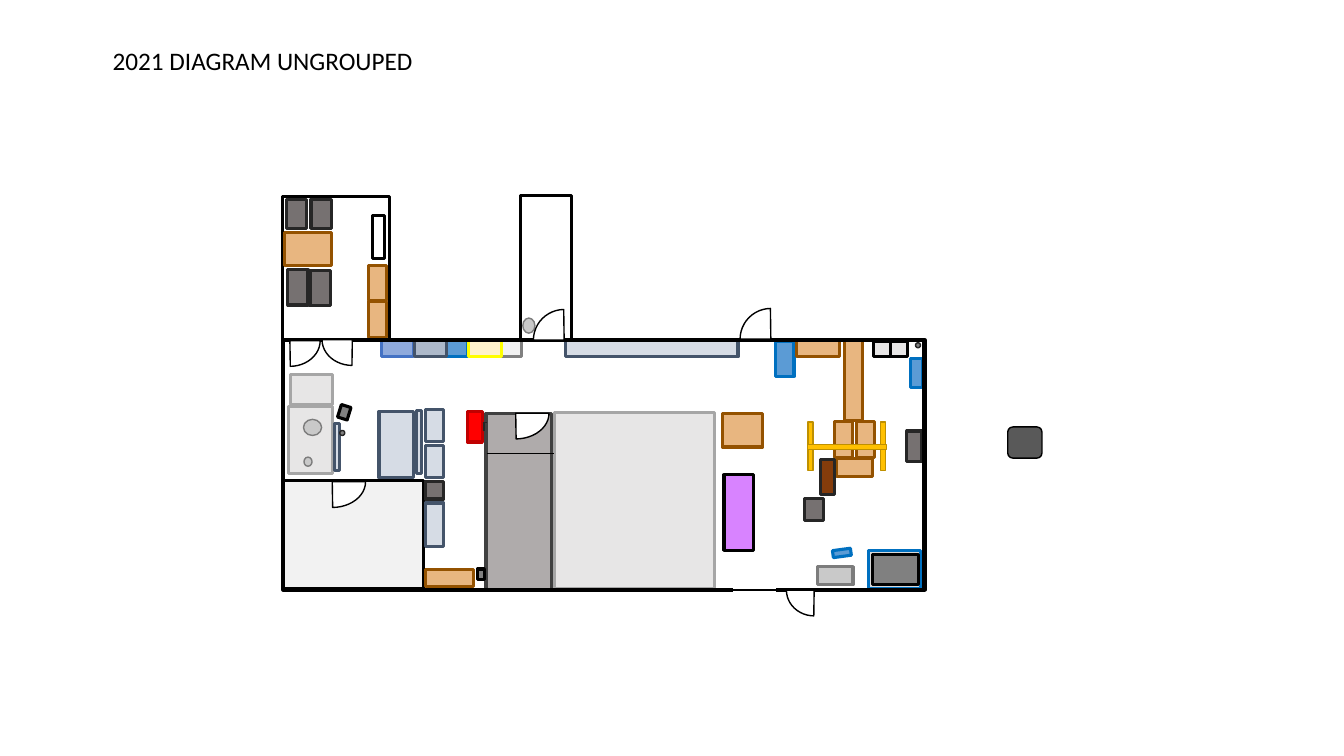
"""Build a one-slide workshop floor plan."""
from lxml import etree
from pptx import Presentation
from pptx.dml.color import RGBColor
from pptx.enum.shapes import MSO_CONNECTOR, MSO_SHAPE
from pptx.enum.text import MSO_AUTO_SIZE
from pptx.oxml.ns import qn
from pptx.util import Inches, Pt

RECT, ROUNDED = MSO_SHAPE.RECTANGLE, MSO_SHAPE.ROUNDED_RECTANGLE
PIE, OVAL = MSO_SHAPE.PIE, MSO_SHAPE.OVAL
STRAIGHT = MSO_CONNECTOR.STRAIGHT

TITLE = "2021 DIAGRAM UNGROUPED"
DOOR_SWING = (108.48, 162)
THICK, THIN = 2.25, 1

FINISHES = {
    "room": (RECT, "FFFFFF", "000000", THICK),
    "office": (RECT, "F2F2F2", "000000", THICK),
    "hall": (RECT, "AFABAB", "404040", THICK),
    "pale": (RECT, "E7E6E6", "A6A6A6", THICK),
    "wood": (RECT, "E8B680", "945200", THICK),
    "steel": (RECT, "D6DCE5", "44546A", THICK),
    "slate": (RECT, "ADB9CA", "44546A", THICK),
    "periwinkle": (RECT, "8FAADC", "4472C4", THICK),
    "white unit": (RECT, "F2F2F2", "808080", THICK),
    "blue": (RECT, "5B9BD5", "0070C0", THICK),
    "silver": (RECT, "C9C9C9", "7C7C7C", THICK),
    "purple": (RECT, "D883FF", "000000", THICK),
    "locker": (RECT, "E7E6E6", "000000", THICK),
    "chair": (RECT, "767171", "262626", THICK),
    "tray": (RECT, "D9D9D9", "0070C0", THICK),
    "machine": (RECT, "808080", "000000", THICK),
    "brown": (RECT, "843C0B", "262626", THICK),
    "red": (RECT, "FF0000", "C00000", THICK),
    "yellow": (RECT, "FFF2CC", "FFFF00", THICK),
    "gantry": (RECT, "FFC000", "BF9000", THIN),
    "outer wall": (RECT, None, "000000", 3),
    "frame": (RECT, None, "000000", THICK),
    "outdoor unit": (ROUNDED, "595959", "000000", THIN),
    "door": (PIE, "FFFFFF", "000000", THIN),
    "knob": (OVAL, "808080", "262626", THIN),
    "basin": (OVAL, "C9C9C9", "7C7C7C", THIN),
}

UPRIGHT = {
    (1.43, 0.5): [("room", 4.7, 2.4)],
    (1.43, 1.06): [("room", 2.62, 2.13)],
    (1.07, 1.39): [("office", 2.97, 4.61)],
    (1.75, 0.65): [("hall", 4.27, 4.65)],
    (1.75, 1.59): [("pale", 5.42, 4.17)],
    (0.66, 0.43): [("pale", 2.75, 4.15)],
    (0.3, 0.41): [("pale", 2.94, 3.66)],
    (0.81, 0.18): [("wood", 8.06, 3.68)],
    (0.35, 0.18): [("wood", 8.41, 4.27), ("wood", 8.19, 4.27),
                   ("wood", 3.57, 3.08), ("wood", 3.57, 2.72),
                   ("blue", 7.61, 3.47)],
    (0.33, 0.4): [("wood", 7.2, 4.07)],
    (0.33, 0.46): [("wood", 2.89, 2.24)],
    (0.15, 0.17): [("locker", 8.84, 3.38), ("locker", 8.67, 3.38)],
    (0.22, 0.19): [("chair", 7.96, 4.96)],
    (0.35, 0.2): [("chair", 2.78, 2.75), ("chair", 3, 2.76)],
    (0.29, 0.2): [("chair", 2.8, 2.02), ("chair", 3.04, 2.02)],
    (0.3, 0.15): [("chair", 8.92, 4.35), ("red", 4.56, 4.16)],
    (0.28, 0.12): [("blue", 8.95, 3.64)],
    (0.38, 0.52): [("tray", 8.68, 5.39)],
    (0.31, 0.34): [("outdoor unit", 10.01, 4.22)],
    (0.1, 0.07): [("machine", 4.72, 5.66)],
    (0.62, 0.05): [("steel", 3.85, 4.36)],
    (0.66, 0.34): [("steel", 3.6, 4.24)],
    (0.47, 0.05): [("steel", 3.11, 4.41)],
    (0.43, 0.12): [("frame", 3.54, 2.29)],
    (0.16, 0.18): [("basin", 3.02, 4.15)],
    (0.09, 0.08): [("basin", 3.01, 4.54)],
    (0.15, 0.12): [("basin", 5.17, 3.17)],
    (0.05, 0.05): [("knob", 9.08, 3.4), ("knob", 3.37, 4.27)],
}

FLAT = {
    (0.35, 0.18): [("wood", 8.3, 4.55), ("silver", 8.11, 5.62)],
    (0.48, 0.17): [("wood", 4.22, 5.65)],
    (0.29, 0.75): [("purple", 7.18, 4.71)],
    (0.46, 0.3): [("machine", 8.65, 5.5)],
}
BROWN_SEAT = {(0.35, 0.14): [("brown", 8.03, 4.66)]}
TILTED_SEAT = {(0.13, 0.1): [("machine", 3.35, 4.04)]}
TILTED_BOX = {(0.18, 0.07): [("blue", 8.26, 5.45)]}

ROW_TOP, ROW_DEPTH = 3.37, 0.17
WALL_ROW = [("steel", 5.61, 1.71), ("periwinkle", 3.78, 0.32),
            ("white unit", 4.89, 0.28), ("blue", 4.39, 0.25),
            ("slate", 4.11, 0.32), ("wood", 7.9, 0.43),
            ("yellow", 4.65, 0.32)]

STACK_CENTER, STACK_TOP, STACK_DEPTH, STACK_GAP = 4.31, 4.06, 0.18, 0.04
STACK = [("steel", 0.32), ("steel", 0.32), ("chair", 0.17), ("steel", 0.43)]

OUTER_WALL = {(2.48, 6.36): [("outer wall", 4.75, 1.43)]}
DOORS = [
    ("flipH", {(0.61, 0.61): [("door", 5.29, 3.07), ("door", 7.34, 3.06)]}),
    ("flipV", {(0.51, 0.66): [("door", 3.04, 4.45), ("door", 4.86, 3.77)],
               (0.51, 0.6): [("door", 2.62, 3.08)]}),
    (None, {(0.51, 0.6): [("door", 3.24, 3.07)],
            (0.51, 0.55): [("door", 7.82, 5.58)]}),
]
GANTRY_POSTS = {(0.48, 0.05): [("gantry", 7.8, 4.4), ("gantry", 8.52, 4.4)]}
GANTRY_BEAM = {(0.78, 0.05): [("gantry", 8.01, 4.41)]}

LINES = [
    ("FFFFFF", 4.5, (7.27, 5.84, 7.7, 5.84)),
    ("000000", 1.5, (7.17, 5.85, 7.76, 5.85)),
    ("262626", THIN, (4.83, 4.19, 4.8, 4.19)),
    ("262626", THIN, (4.8, 4.28, 4.8, 4.19)),
    ("000000", THIN, (4.83, 4.5, 5.49, 4.5)),
]


def color(hex_string):
    return RGBColor.from_string(hex_string)


def stroke(line, hex_string, width):
    line.color.rgb = color(hex_string)
    line.width = Pt(width)


def place(shapes, finish, box, turn, flip=None):
    preset, fill, outline, weight = FINISHES[finish]
    part = shapes.add_shape(preset, *map(Inches, box))
    part.shadow.inherit = False
    part.rotation = turn
    if flip:
        part.element.spPr.find(qn("a:xfrm")).set(flip, "1")
    if preset == PIE:
        part.adjustments[0], part.adjustments[1] = DOOR_SWING
    if fill:
        part.fill.solid()
        part.fill.fore_color.rgb = color(fill)
    else:
        part.fill.background()
    stroke(part.line, outline, weight)


def furnish(shapes, places_by_size, turn=270, flip=None):
    for size, places in places_by_size.items():
        for finish, left, top in places:
            place(shapes, finish, (left, top, *size), turn, flip)


def draw_line(shapes, hex_string, width, ends):
    segment = shapes.add_connector(STRAIGHT, *map(Inches, ends))
    stroke(segment.line, hex_string, width)
    etree.SubElement(segment.element.spPr, qn("a:effectLst"))


def add_title(shapes):
    frame = shapes.add_textbox(*map(Inches, (1.02, 0.4, 3.2, 0.4))).text_frame
    frame.word_wrap = False
    frame.auto_size = MSO_AUTO_SIZE.SHAPE_TO_FIT_TEXT
    run = frame.paragraphs[0].add_run()
    run.text = TITLE
    run.font.name, run.font.size = "Calibri", Pt(18)
    run.font.color.rgb = color("000000")


deck = Presentation()
deck.slide_width, deck.slide_height = Inches(13.33), Inches(7.5)
floor = deck.slides.add_slide(deck.slide_layouts[6]).shapes
furnish(floor, UPRIGHT)
furnish(floor, FLAT, 180)
furnish(floor, BROWN_SEAT)
furnish(floor, TILTED_SEAT, 287.3)
furnish(floor, TILTED_BOX, 172.3)
for finish, left, width in WALL_ROW:
    place(floor, finish, (left, ROW_TOP, width, ROW_DEPTH), 180)
top = STACK_TOP
for finish, length in STACK:
    left = STACK_CENTER - length / 2
    middle = top + length / 2
    place(floor, finish, (left, middle - STACK_DEPTH / 2, length, STACK_DEPTH), 270)
    top += length + STACK_GAP
furnish(floor, OUTER_WALL)
for flip, doors in DOORS:
    furnish(floor, doors, flip=flip)
gantry = floor.add_group_shape().shapes
furnish(gantry, GANTRY_POSTS)
furnish(gantry, GANTRY_BEAM, 0)
for segment in LINES:
    draw_line(floor, *segment)
add_title(floor)
deck.save("out.pptx")
